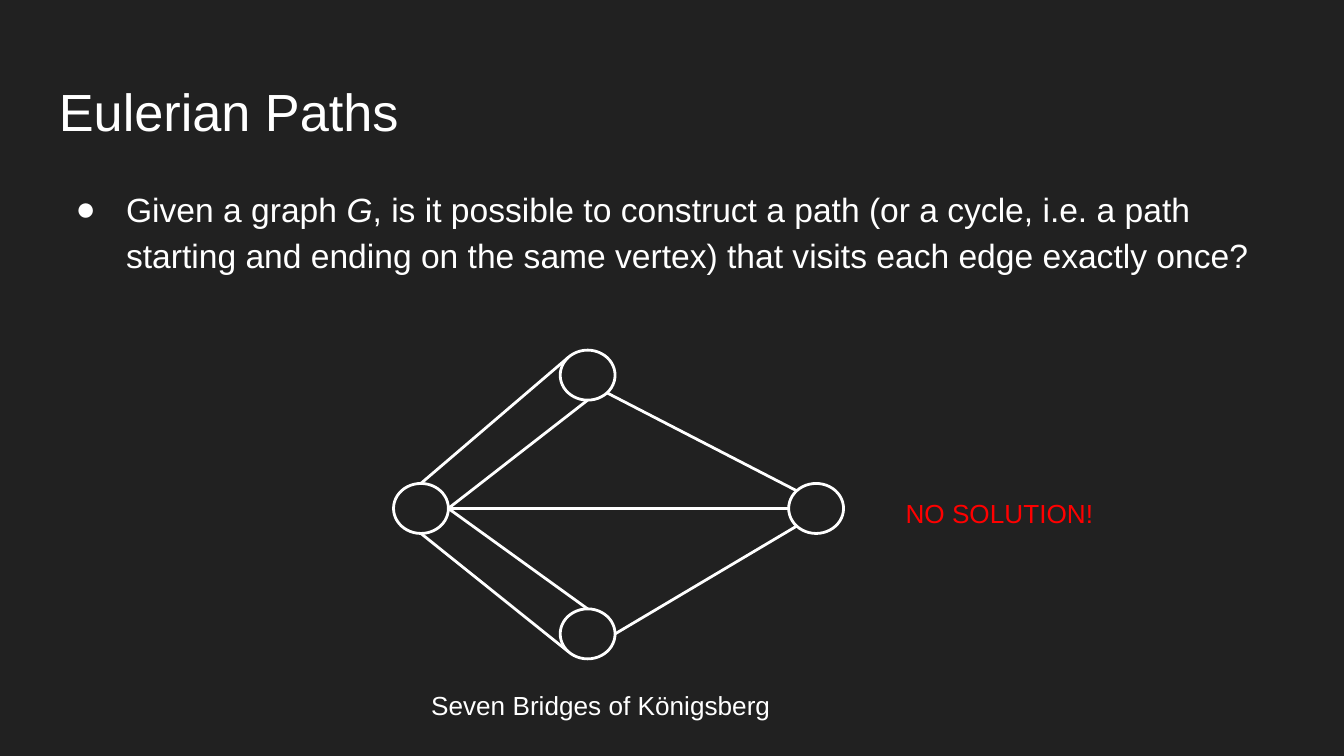
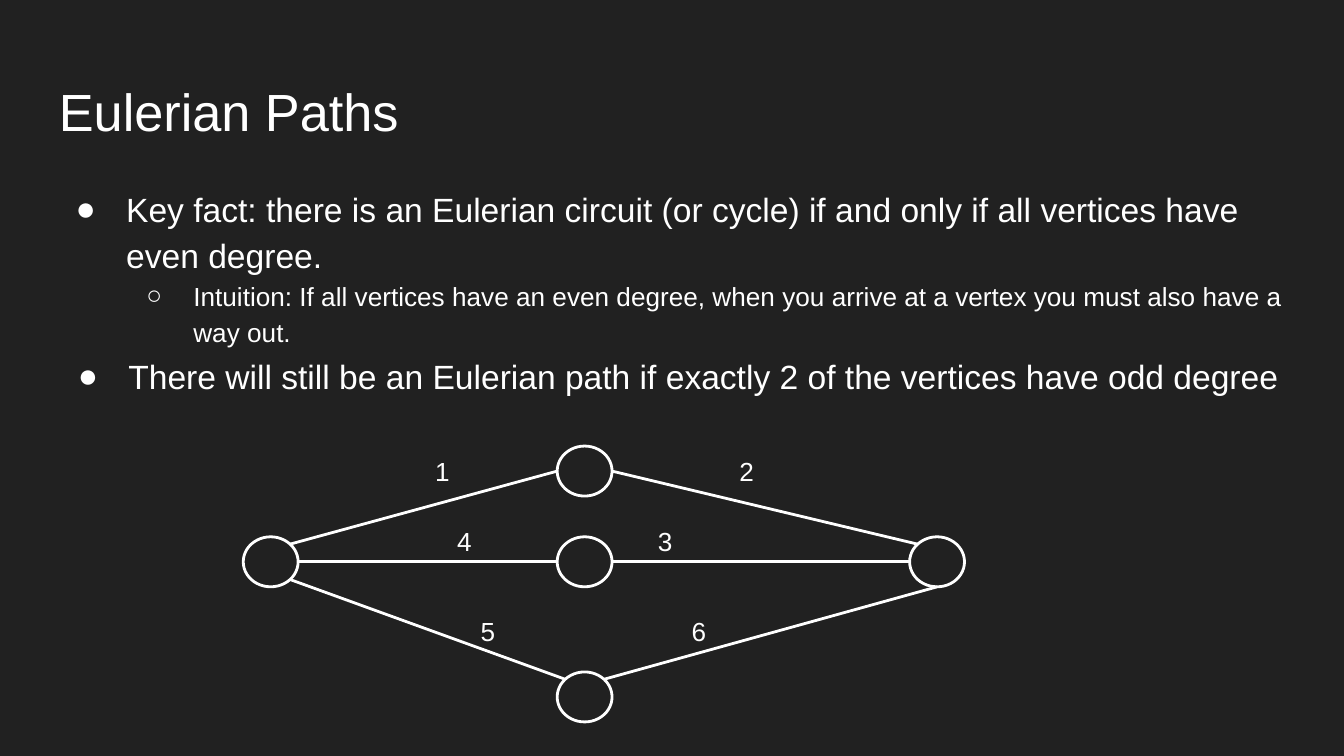
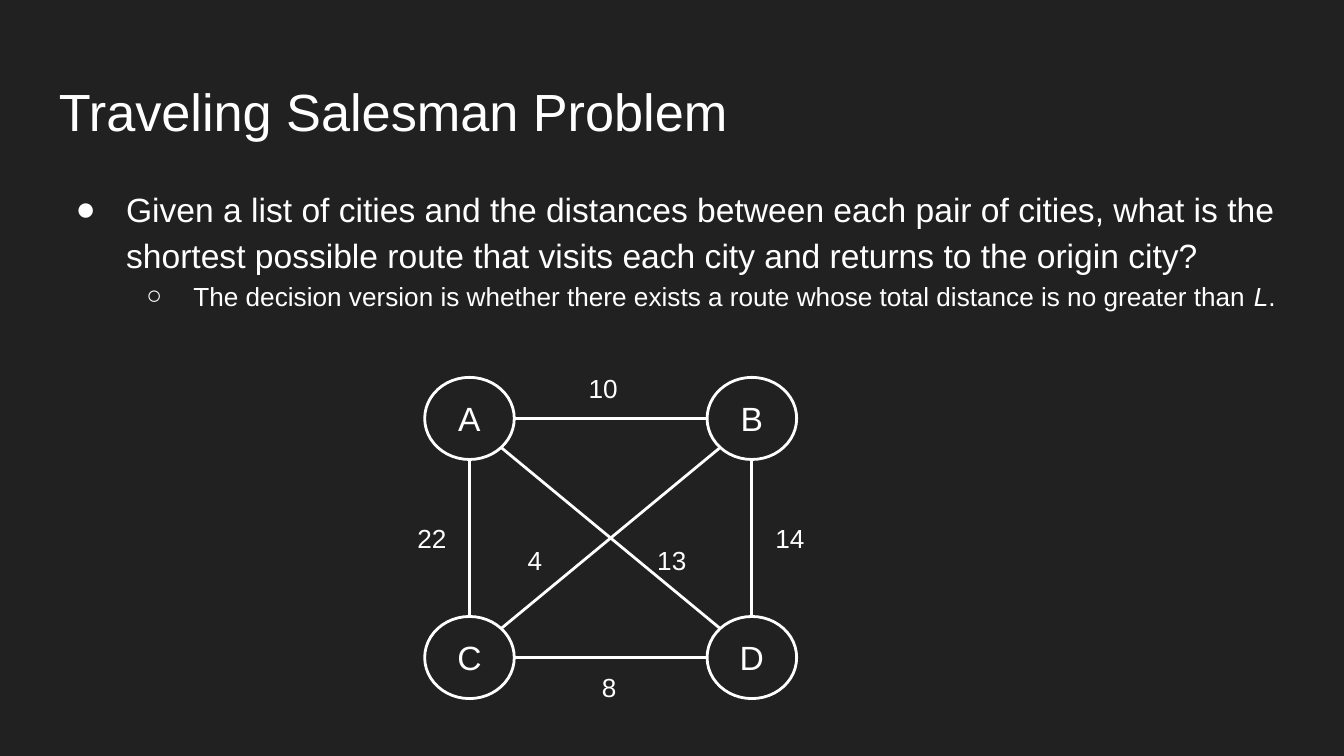
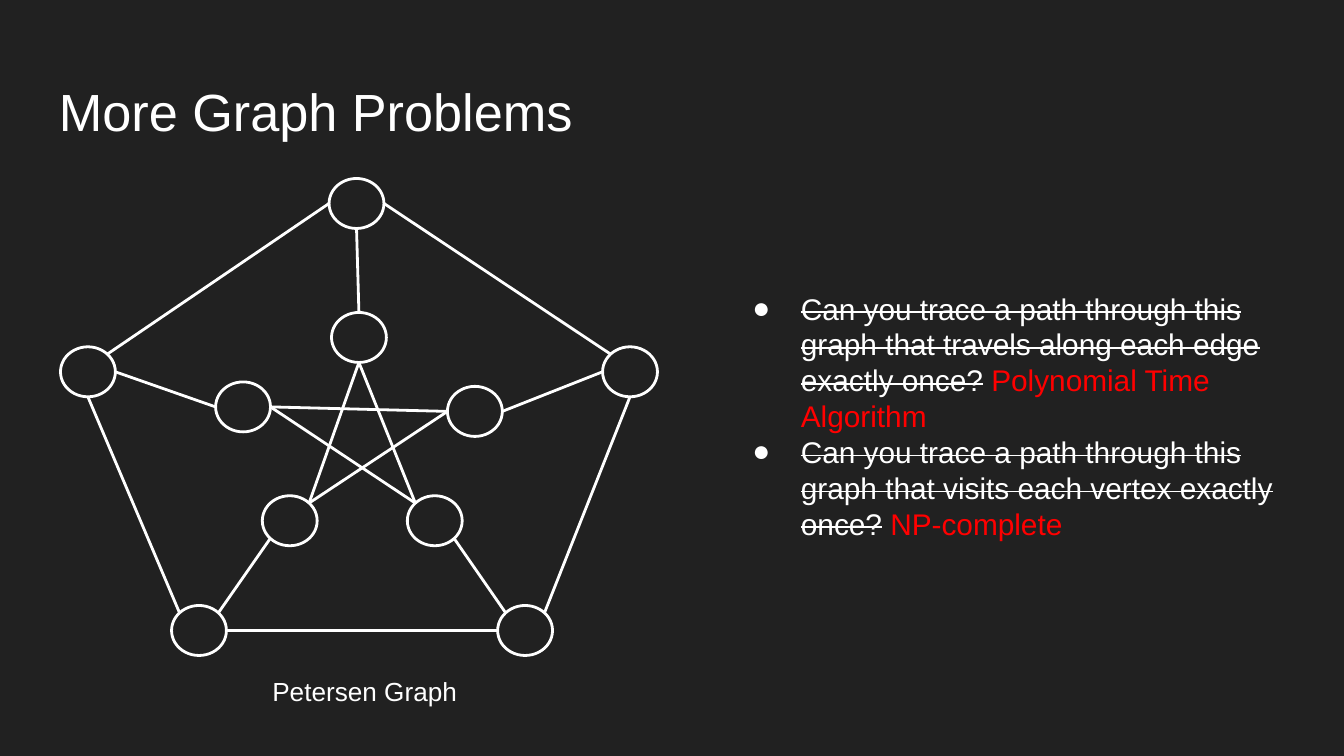
import pptx
import pptx.util
import pptx.dml.color
import pptx.enum.shapes
import pptx.enum.text
import pptx.oxml.ns
import lxml.etree
from dataclasses import dataclass

Pt = pptx.util.Pt
qn = pptx.oxml.ns.qn


@dataclass(frozen=True)
class Theme:
    font: str = "Arial"
    ground: str = "212121"
    white: str = "FFFFFF"
    red: str = "FF0000"
    title: float = 28
    body: float = 18
    side: float = 16
    small: float = 14
    inset: float = 7.2
    line: float = 1.5


theme = Theme()

WIDTH, HEIGHT = 720, 405
TITLE = (24.5, 35.3, 671, 45.4)
SMALL, LARGE = (29.4, 26.8), (48, 44)

# Bullet styles: level, mark, left margin, hanging indent, size, line spacing
BULLETS = {
    "main": (0, "●", 36, -27, theme.body, 1.15),
    "sub": (1, "○", 72, -25.2, theme.small, 1.15),
    "side": (0, "●", 36, -26, theme.side, 1.0),
}

# Runs are (text, style): "" plain, "i" italic, "s" struck out, "r" red.
# Nodes are centres; edges are "node.side node.side".
SLIDES = [
    {
        "title": "Eulerian Paths",
        "bodies": [((24.5, 90.7, 671, 62.6), [
            ("main", [("Given a graph ", ""), ("G", "i"),
                      (", is it possible to construct a path (or a cycle, i.e. a path "
                       "starting and ending on the same vertex) that visits each edge "
                       "exactly once?", "")]),
        ])],
        "size": SMALL,
        "nodes": {"west": (225.5, 272.4), "north": (314.8, 201),
                  "east": (437.2, 272.4), "south": (314.8, 339.6)},
        "edges": ["west.e south.n", "west.e north.s", "east.nw north.se",
                  "south.e east.sw", "west.n north.nw", "west.s south.sw",
                  "east.w west.e"],
        "notes": [((223.9, 362.2, 199, 36), "Seven Bridges of Königsberg", ""),
                  ((478, 259, 120, 27), "NO SOLUTION!", "r")],
    },
    {
        "title": "Eulerian Paths",
        "bodies": [
            ((24.5, 90.7, 671, 98.6), [
                ("main", [("Key fact: there is an Eulerian circuit (or cycle) if and only "
                           "if all vertices have even degree.", "")]),
                ("sub", [("Intuition: If all vertices have an even degree, when you arrive "
                          "at a vertex you must also have a way out.", "")]),
            ]),
            ((25.7, 180, 671, 39.6), [
                ("main", [("There will still be an Eulerian path if exactly 2 of the "
                           "vertices have odd degree", "")]),
            ]),
        ],
        "size": SMALL,
        "nodes": {"west": (145, 301), "east": (502, 301), "north": (313.2, 252.4),
                  "mid": (313.2, 301), "south": (313.2, 373.4)},
        "edges": ["west.se south.nw", "west.e mid.w", "south.ne east.s",
                  "mid.e east.w", "west.ne north.w", "north.e east.nw"],
        "labels": [("1", 226, 237), ("2", 389, 237), ("3", 345.4, 274.2),
                   ("4", 237.8, 274.2), ("5", 250.4, 322.4), ("6", 363.4, 322.4)],
    },
    {
        "title": "Traveling Salesman Problem",
        "bodies": [((24.5, 90.7, 671, 101.5), [
            ("main", [("Given a list of cities and the distances between each pair of "
                       "cities, what is the shortest possible route that visits each city "
                       "and returns to the origin city?", "")]),
            ("sub", [("The decision version is whether there exists a route whose total "
                      "distance is no greater than ", ""), ("L", "i"), (".", "")]),
        ])],
        "size": LARGE,
        "named": True,
        "nodes": {"A": (251.5, 224.2), "B": (402.8, 224.2),
                  "C": (251.5, 352.3), "D": (402.8, 352.3)},
        "edges": ["A.e B.w", "D.n B.s", "C.e D.w", "A.s C.n", "A.se D.nw", "B.sw C.ne"],
        "labels": [("10", 308.2, 192.2), ("14", 408.3, 272.8), ("8", 315.4, 352.3),
                   ("22", 216.5, 272.8), ("4", 275.6, 284.2), ("13", 345, 284.6)],
    },
    {
        "title": "More Graph Problems",
        "bodies": [((386, 148.3, 309.6, 133.2), [
            ("side", [("Can you trace a path through this graph that travels along each "
                       "edge exactly once?", "s"), (" ", ""),
                      ("Polynomial Time Algorithm", "r")]),
            ("side", [("Can you trace a path through this graph that visits each vertex "
                       "exactly once?", "s"), (" ", ""), ("NP-complete", "r")]),
        ])],
        "size": SMALL,
        "nodes": {"top": (191, 109), "left": (47.1, 199.2), "right": (337.5, 199.2),
                  "base1": (106.6, 337.8), "base2": (281.3, 337.8),
                  "tip": (192.3, 180.8), "arm1": (130.2, 218), "arm2": (254.4, 220.4),
                  "leg1": (155.2, 279), "leg2": (232.9, 279)},
        "edges": ["base2.ne right.s", "base1.e base2.w", "left.s base1.nw",
                  "left.ne top.w", "right.nw top.e", "top.s tip.n", "right.w arm2.e",
                  "base2.nw leg2.se", "base1.ne leg1.sw", "left.e arm1.w",
                  "leg2.nw tip.s", "leg1.ne tip.s", "arm2.w arm1.e",
                  "leg2.nw arm1.e", "arm2.w leg1.ne"],
        "notes": [((138.8, 354.6, 128, 53), "Petersen Graph", "")],
    },
]


def tint(code):
    return pptx.dml.color.RGBColor.from_string(code)


def pts(nums):
    return [Pt(n) for n in nums]


def write(para, text, size, style=""):
    run = para.add_run()
    run.text = text
    font = run.font
    font.name, font.size = theme.font, Pt(size)
    font.color.rgb = tint(theme.red if style == "r" else theme.white)
    if style == "i":
        font.italic = True
    if style == "s":
        run._r.get_or_add_rPr().set("strike", "sngStrike")


def pad(frame):
    frame.word_wrap = True
    frame.margin_left = frame.margin_right = Pt(theme.inset)
    frame.margin_top = frame.margin_bottom = Pt(theme.inset)


def add_box(shapes, area):
    frame = shapes.add_textbox(*pts(area)).text_frame
    pad(frame)
    return frame


def add_line(shapes, area, text, size, style=""):
    """Put one line of text in its own box."""
    write(add_box(shapes, area).paragraphs[0], text, size, style)


def add_body(shapes, area, items):
    frame = add_box(shapes, area)
    for num, (kind, runs) in enumerate(items):
        para = frame.add_paragraph() if num else frame.paragraphs[0]
        para.level, mark, left, hang, size, para.line_spacing = BULLETS[kind]
        props = para._p.get_or_add_pPr()
        props.set("marL", str(Pt(left)))
        props.set("indent", str(Pt(hang)))
        hue = lxml.etree.SubElement(props, qn("a:buClr"))
        lxml.etree.SubElement(hue, qn("a:srgbClr"), val=theme.white)
        lxml.etree.SubElement(props, qn("a:buFont"), typeface=theme.font)
        lxml.etree.SubElement(props, qn("a:buChar"), char=mark)
        for text, style in runs:
            write(para, text, size, style)


def stroke(shape):
    shape.line.color.rgb = tint(theme.white)
    shape.line.width = Pt(theme.line)


def add_node(shapes, spot, size, name=""):
    (x, y), (w, h) = spot, size
    node = shapes.add_shape(pptx.enum.shapes.MSO_SHAPE.OVAL,
                            *pts((x - w / 2, y - h / 2, w, h)))
    node.shadow.inherit = False
    node.fill.background()
    stroke(node)
    if name:
        frame = node.text_frame
        pad(frame)
        frame.vertical_anchor = pptx.enum.text.MSO_ANCHOR.MIDDLE
        frame.paragraphs[0].alignment = pptx.enum.text.PP_ALIGN.CENTER
        write(frame.paragraphs[0], name, theme.body)


def rim(spot, size, side):
    """Return the point on a node's outline in a compass direction."""
    dx = ("e" in side) - ("w" in side)
    dy = ("s" in side) - ("n" in side)
    reach = 0.5 / (dx * dx + dy * dy) ** 0.5
    return spot[0] + dx * reach * size[0], spot[1] + dy * reach * size[1]


def add_edge(shapes, start, end):
    edge = shapes.add_connector(pptx.enum.shapes.MSO_CONNECTOR.STRAIGHT,
                                *pts(start + end))
    stroke(edge)
    lxml.etree.SubElement(edge._element.spPr, qn("a:effectLst"))


def add_graph(shapes, data):
    group = shapes.add_group_shape().shapes
    nodes, size = data["nodes"], data["size"]
    for name, spot in nodes.items():
        add_node(group, spot, size, name if data.get("named") else "")
    for edge in data["edges"]:
        ends = [end.split(".") for end in edge.split()]
        add_edge(group, *[rim(nodes[name], size, side) for name, side in ends])
    for text, x, y in data.get("labels", []):
        add_line(group, (x, y, 35, 30.6), text, theme.small)


def main():
    deck = pptx.Presentation()
    deck.slide_width, deck.slide_height = Pt(WIDTH), Pt(HEIGHT)
    fill = deck.slide_master.background.fill
    fill.solid()
    fill.fore_color.rgb = tint(theme.ground)
    for data in SLIDES:
        shapes = deck.slides.add_slide(deck.slide_layouts[6]).shapes
        add_line(shapes, TITLE, data["title"], theme.title)
        for area, items in data["bodies"]:
            add_body(shapes, area, items)
        add_graph(shapes, data)
        for area, text, style in data.get("notes", []):
            add_line(shapes, area, text, theme.small, style)
    deck.save("out.pptx")


if __name__ == "__main__":
    main()
